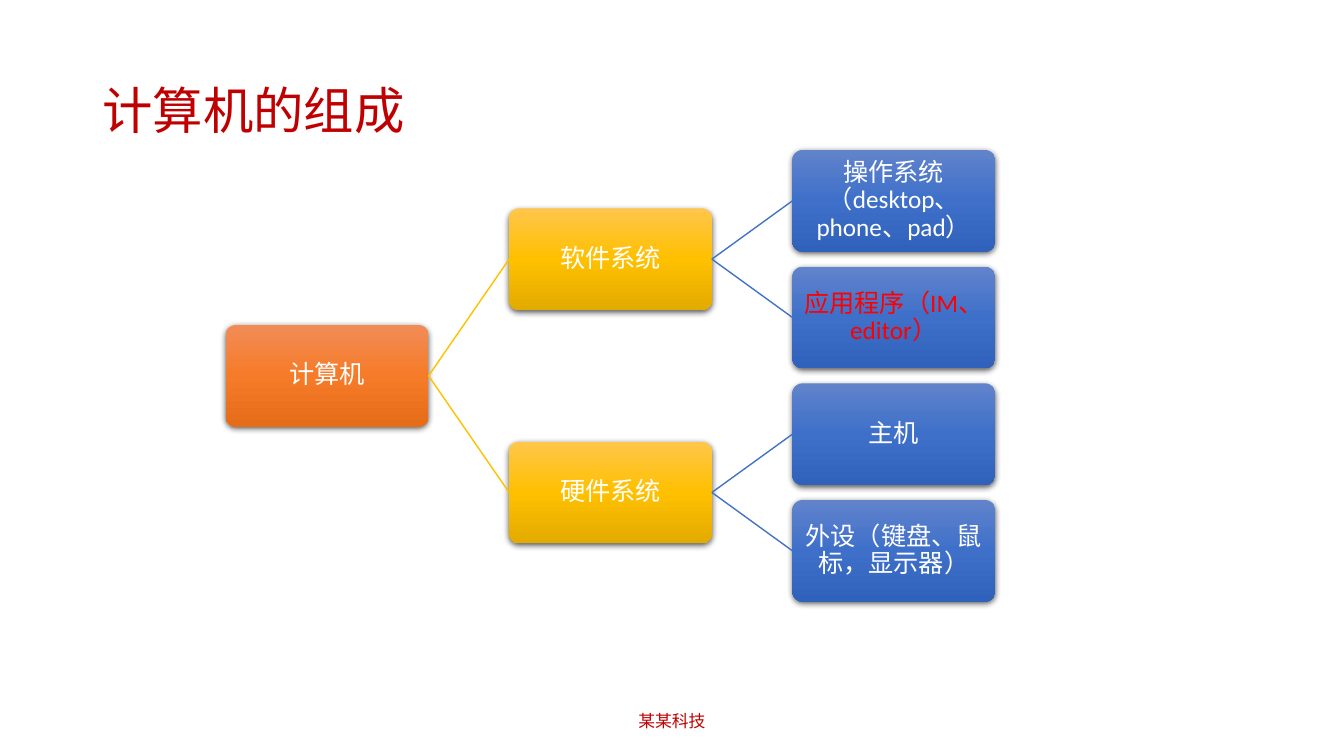
from copy import deepcopy

from lxml import etree
from pptx import Presentation
from pptx import util as u
from pptx.dml.color import RGBColor
from pptx.enum import shapes, text
from pptx.oxml.ns import qn

FONT = "Calibri"
BRAND_RED = "C00000"

# Tree geometry in cm
NODE_WIDTH, NODE_HEIGHT = 5.11, 2.56
TREE_LEFT, TREE_TOP = 5.69, 3.78
COLUMN_STEP, ROW_STEP = 7.14, 2.94

# One gradient per level; connectors take the colour of the child's level
GRADIENTS = [
    ("F18C57", "F67B28", "E56C19"),
    ("FFC64B", "FFC000", "E3AB00"),
    ("6183CB", "3E70CA", "3062BB"),
]
LINKS = [None, "FFC000", "4472C4"]

# Each node: wording, text colour, children
TREE = ("计算机", "FFFFFF", [
    ("软件系统", "FFFFFF", [
        ("操作系统（desktop、phone、pad）", "FFFFFF", []),
        ("应用程序（IM、editor）", "FF0000", []),
    ]),
    ("硬件系统", "FFFFFF", [
        ("主机", "FFFFFF", []),
        ("外设（键盘、鼠标，显示器）", "FFFFFF", []),
    ]),
])


def rgb(value):
    return RGBColor.from_string(value)


def write(shape, wording, size, color, align=text.PP_ALIGN.CENTER,
          spacing=1.0, inset=None):
    frame = shape.text_frame
    frame.word_wrap = True
    frame.vertical_anchor = text.MSO_ANCHOR.MIDDLE
    if inset is not None:
        frame.margin_left = frame.margin_right = u.Cm(inset)
        frame.margin_top = frame.margin_bottom = u.Cm(inset)
    para = frame.paragraphs[0]
    para.alignment = align
    para.line_spacing = spacing
    span = para.add_run()
    span.text = wording
    span.font.name = FONT
    span.font.size = u.Pt(size)
    span.font.color.rgb = rgb(color)


def add_label(page, left, top, width, height, wording, **style):
    box = page.shapes.add_textbox(u.Cm(left), u.Cm(top), u.Cm(width), u.Cm(height))
    write(box, wording, **style)


def fill_gradient(shape, colors):
    """Spread the colours evenly from top to bottom."""
    shape.fill.gradient()
    shape.fill.gradient_angle = 270
    stops = shape._element.spPr.find(".//" + qn("a:gsLst"))
    stops.append(deepcopy(stops[-1]))
    for index, (stop, color) in enumerate(zip(shape.fill.gradient_stops, colors)):
        stop.position = index / (len(colors) - 1)
        stop.color.rgb = rgb(color)


def add_shadow(shape):
    shape.shadow.inherit = False
    effects = shape._element.spPr.find(qn("a:effectLst"))
    shadow = etree.SubElement(
        effects, qn("a:outerShdw"), blurRad=str(u.Pt(4.5)), dist=str(u.Pt(1.5)),
        dir="5400000", algn="ctr", rotWithShape="0")
    color = etree.SubElement(shadow, qn("a:srgbClr"), val="000000")
    etree.SubElement(color, qn("a:alpha"), val="63000")


def add_node(page, level, row, wording, color):
    box = page.shapes.add_shape(
        shapes.MSO_SHAPE.ROUNDED_RECTANGLE,
        u.Cm(TREE_LEFT + level * COLUMN_STEP), u.Cm(TREE_TOP + row * ROW_STEP),
        u.Cm(NODE_WIDTH), u.Cm(NODE_HEIGHT))
    box.adjustments[0] = 0.1
    fill_gradient(box, GRADIENTS[level])
    box.line.fill.background()
    add_shadow(box)
    write(box, wording, size=18, color=color, spacing=0.9, inset=0.1)
    return box


def add_link(page, parent, child, color):
    link = page.shapes.add_connector(shapes.MSO_CONNECTOR.STRAIGHT, 0, 0, 0, 0)
    link.begin_connect(parent, 3)
    link.end_connect(child, 1)
    link.line.color.rgb = rgb(color)
    link.line.width = u.Pt(1)
    etree.SubElement(link._element.spPr, qn("a:effectLst"))


def add_branch(page, node, level=0, first_row=0):
    """Draw a node centred on its children; return its box, row and leaf count."""
    wording, color, children = node
    branches, leaves = [], 0
    for child in children:
        branch = add_branch(page, child, level + 1, first_row + leaves)
        branches.append(branch)
        leaves += branch[2]
    row = (branches[0][1] + branches[-1][1]) / 2 if branches else first_row
    box = add_node(page, level, row, wording, color)
    for child_box, _, _ in branches:
        add_link(page, box, child_box, LINKS[level + 1])
    return box, row, max(leaves, 1)


def main():
    deck = Presentation()
    deck.slide_width, deck.slide_height = u.Cm(33.87), u.Cm(19.05)
    page = deck.slides.add_slide(deck.slide_layouts[6])

    # Title
    add_label(page, 2.33, 1.01, 29.21, 3.68, "计算机的组成", size=36,
              color=BRAND_RED, align=text.PP_ALIGN.LEFT, spacing=0.9)

    # Hierarchy
    add_branch(page, TREE)

    # Footer
    add_label(page, 11.22, 17.66, 11.43, 1.01, "某某科技", size=12, color=BRAND_RED)

    deck.save("out.pptx")


if __name__ == "__main__":
    main()
